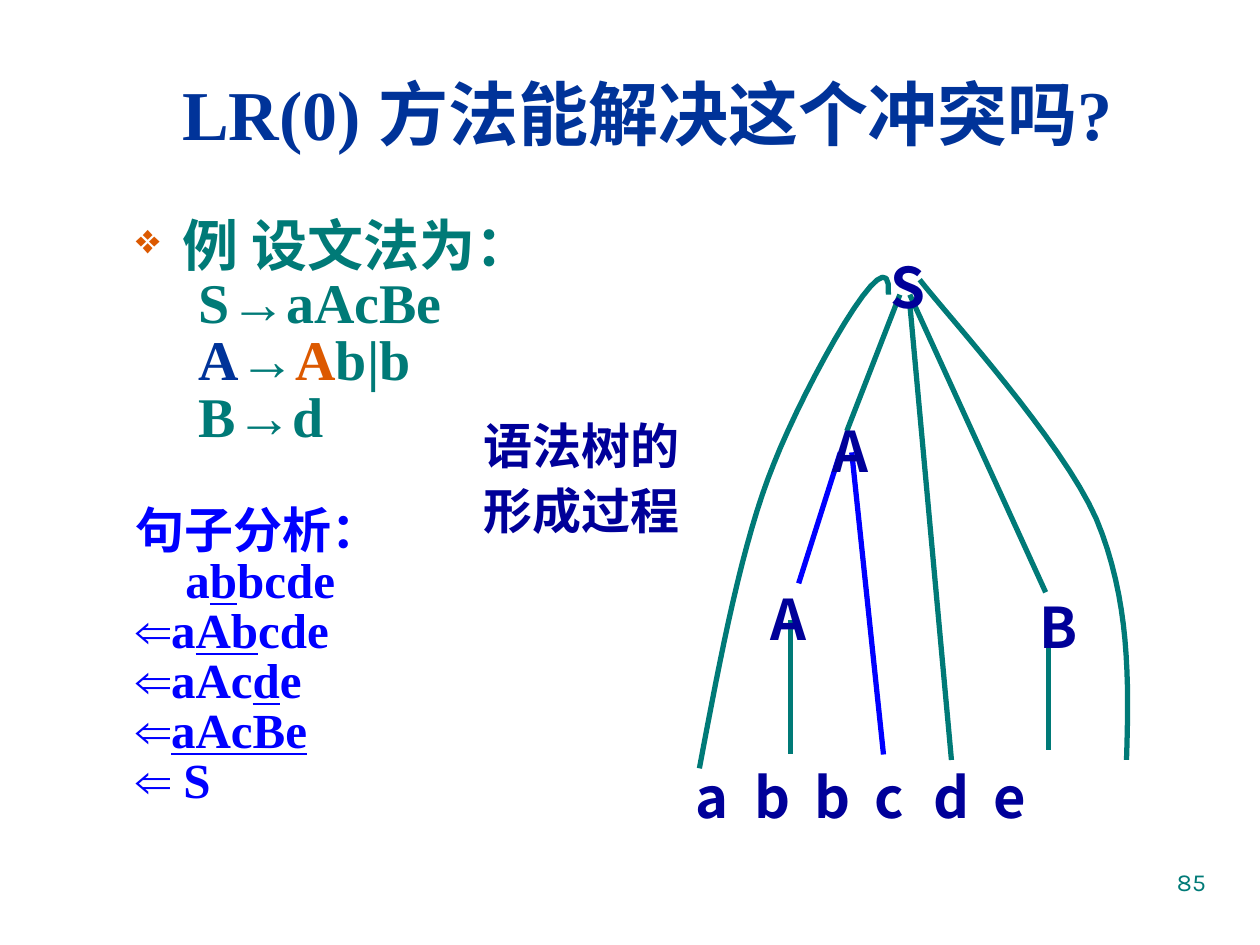
from lxml.etree import SubElement
from pptx import Presentation
from pptx.dml.color import RGBColor
from pptx.enum.shapes import MSO_CONNECTOR
from pptx.enum.text import MSO_ANCHOR as ANCHOR, PP_ALIGN as ALIGN
from pptx.oxml.ns import qn
from pptx.util import Cm, Pt

TEAL = RGBColor(0x00, 0x7A, 0x77)
NAVY = RGBColor(0x00, 0x33, 0x99)
ORANGE = RGBColor(0xDC, 0x59, 0x00)
BLUE = RGBColor(0x00, 0x00, 0xFF)
INDIGO = RGBColor(0x00, 0x00, 0x99)
SERIF, SANS, SANS_JP = "Times New Roman", "Noto Sans CJK SC", "Noto Sans CJK JP"

# A paragraph is a list of runs; a run is (text, overriding formats).
U = {"underline": True}
TITLE = [[("LR(0) 方法能解决这个冲突吗?", {})]]
GRAMMAR = [
    [("例 设文法为：", {})],
    [("S→aAcBe", {})],
    [("A", {"color": NAVY}), ("→", {}), ("A", {"color": ORANGE}), ("b|b", {})],
    [("B→d", {})],
]
DERIVATION = [
    [("句子分析：", {})],
    [("a", {}), ("b", U), ("bcde", {})],
    [("⇐a", {}), ("Ab", U), ("cde", {})],
    [("⇐aAc", {}), ("d", U), ("e", {})],
    [("⇐", {}), ("aAcBe", U)],
    [("⇐ S", {})],
]
CAPTION = [[("语法树的形成过程", {})]]
LEAVES = [[("\t".join("abbcde"), {})]]
PAGE = [[("85", {})]]

# Tree parts in cm: straight branches, Bezier branches, node labels
BRANCHES = [
    (15.93, 15.19, 15.93, 12.5, TEAL),
    (21.13, 15.11, 21.13, 12.67, TEAL),
    (16.1, 11.76, 16.94, 9.12, BLUE),
    (17.81, 15.21, 17.17, 9.12, BLUE),
    (19.18, 15.32, 18.34, 6.12, TEAL),
    (17.07, 8.69, 18.14, 5.94, TEAL),
    (21.08, 11.94, 18.34, 5.94, TEAL),
]
CURVES = [
    [(14.1, 15.49), (14.53, 13.21), (14.96, 10.92), (15.6, 9.35),
     (16.23, 7.75), (18.01, 4.52), (17.91, 5.94)],
    [(22.71, 15.32), (22.76, 13.72), (22.78, 12.09), (22.1, 10.46),
     (21.39, 8.86), (19.13, 6.4), (18.54, 5.64)],
]
NODES = [("A", 15.29, 11.53), ("B", 20.7, 11.68), ("A", 16.54, 8.13), ("S", 17.7, 4.83)]
LEAF_PITCH = 1.2


def add_runs(p, runs, size, color, font, bold):
    for text, changes in runs:
        r = p.add_run()
        r.text = text
        style = {"size": Pt(size), "name": font, "bold": bold, **changes}
        r.font.color.rgb = style.pop("color", color)
        for key, value in style.items():
            setattr(r.font, key, value)
        east_asian = SANS if font == SERIF else font
        SubElement(r.font._element, qn("a:ea"), typeface=east_asian)


def add_text(shapes, box, paragraphs, size, color, font=SERIF, bold=True,
             spacing=1.0, align=ALIGN.LEFT, anchor=ANCHOR.TOP, wrap=True):
    tf = shapes.add_textbox(*map(Cm, box)).text_frame
    tf.word_wrap, tf.vertical_anchor = wrap, anchor
    for i, runs in enumerate(paragraphs):
        p = tf.add_paragraph() if i else tf.paragraphs[0]
        p.alignment, p.line_spacing = align, spacing
        add_runs(p, runs, size, color, font, bold)
    return tf


def set_indent(p, left, first=0):
    pPr = p._p.get_or_add_pPr()
    pPr.set("marL", str(Cm(left)))
    pPr.set("indent", str(Cm(first)))
    return pPr


def add_bullet(p, char, color, percent):
    pPr = set_indent(p, 0.95, -0.95)
    SubElement(SubElement(pPr, qn("a:buClr")), qn("a:srgbClr"), val=str(color))
    SubElement(pPr, qn("a:buSzPct"), val=str(percent * 1000))
    SubElement(pPr, qn("a:buChar"), char=char)


def add_tabs(p, pitch, count):
    tabs = SubElement(p._p.get_or_add_pPr(), qn("a:tabLst"))
    for i in range(1, count + 1):
        SubElement(tabs, qn("a:tab"), pos=str(Cm(pitch * i)), algn="l")


def add_branch(shapes, x1, y1, x2, y2, color):
    line = shapes.add_connector(MSO_CONNECTOR.STRAIGHT, *map(Cm, (x1, y1, x2, y2)))
    line.line.color.rgb, line.line.width = color, Pt(3)
    SubElement(line._element.spPr, qn("a:effectLst"))


def bezier_points(nodes, steps=16):
    """Sample a chain of cubic Bezier segments that share end points."""
    points = [nodes[0]]
    for i in range(0, len(nodes) - 1, 3):
        for k in range(1, steps + 1):
            t = k / steps
            weights = ((1 - t) ** 3, 3 * t * (1 - t) ** 2, 3 * t * t * (1 - t), t ** 3)
            points.append(tuple(sum(w * n[axis] for w, n in zip(weights, nodes[i:i + 4]))
                                for axis in (0, 1)))
    return points


def add_curve(shapes, nodes):
    start, *rest = [(Cm(x), Cm(y)) for x, y in bezier_points(nodes)]
    builder = shapes.build_freeform(*start)
    builder.add_line_segments(rest, close=False)
    sp = builder.convert_to_shape()
    sp.shadow.inherit = False
    sp.fill.background()
    sp.line.color.rgb, sp.line.width = TEAL, Pt(3)


def main():
    prs = Presentation()
    prs.slide_width, prs.slide_height = Cm(25.4), Cm(19.05)
    shapes = prs.slides.add_slide(prs.slide_layouts[6]).shapes

    add_text(shapes, (1.7, 1.32, 22.71, 1.9), TITLE, 40, NAVY,
             align=ALIGN.CENTER, anchor=ANCHOR.MIDDLE)

    head, *rules = add_text(shapes, (2.49, 4.32, 8.61, 4.95), GRAMMAR, 32, TEAL,
                            spacing=0.85).paragraphs
    add_bullet(head, "❖", ORANGE, 75)
    for p in rules:
        set_indent(p, 1.27)

    steps = add_text(shapes, (2.49, 10.13, 5.72, 6.32), DERIVATION, 28, BLUE, spacing=0.85)
    set_indent(steps.paragraphs[1], 1)

    for branch in BRANCHES:
        add_branch(shapes, *branch)
    for nodes in CURVES:
        add_curve(shapes, nodes)
    for name, x, y in NODES:
        add_text(shapes, (x, y, 1.09, 1.75), [[(name, {})]], 32, INDIGO, SANS,
                 spacing=1.1, wrap=False)
    leaves = add_text(shapes, (13.77, 15.11, 10.54, 1.75), LEAVES, 32, INDIGO, SANS, spacing=1.1)
    add_tabs(leaves.paragraphs[0], LEAF_PITCH, 5)

    add_text(shapes, (9.5, 8.13, 4.65, 2.87), CAPTION, 28, INDIGO, SANS_JP, spacing=1.1)
    add_text(shapes, (18.21, 17.35, 6.35, 1.32), PAGE, 14, TEAL, "Karla", bold=False,
             align=ALIGN.RIGHT)
    prs.save("out.pptx")


if __name__ == "__main__":
    main()
